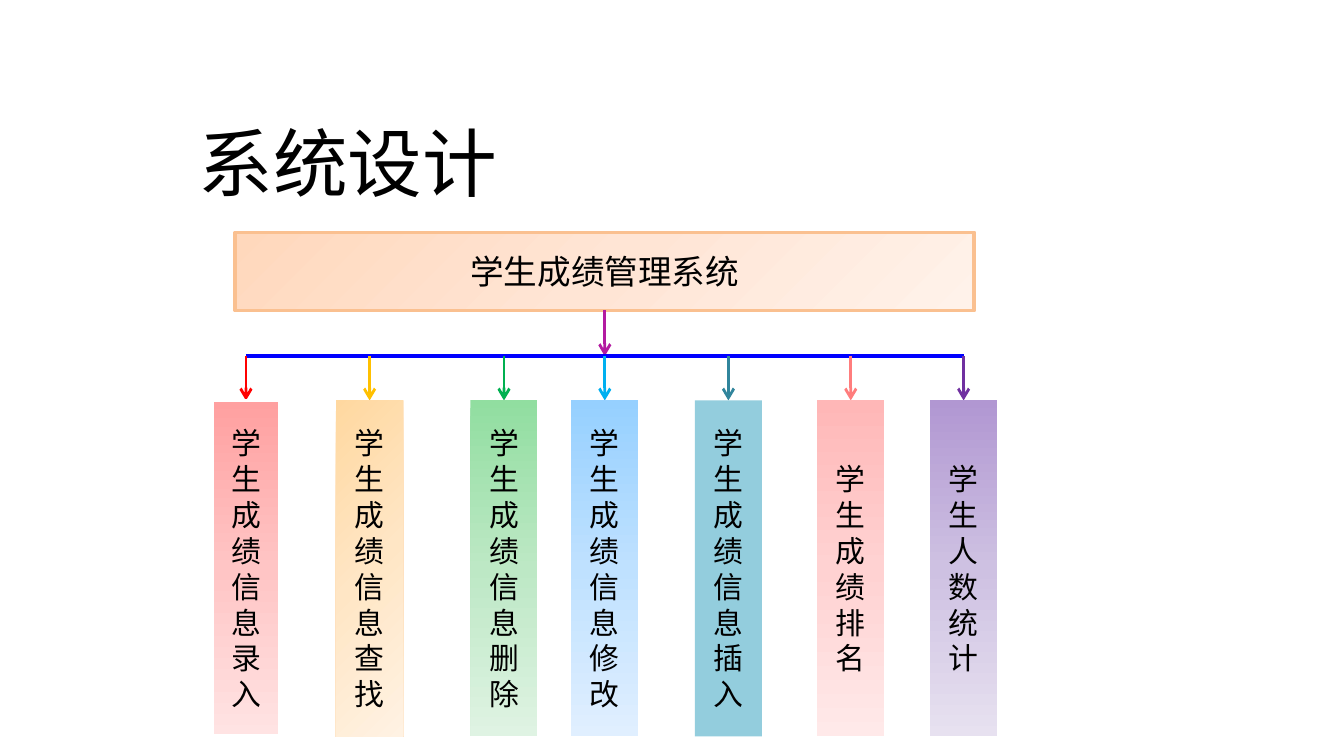
from copy import deepcopy

from lxml import etree
from pptx import Presentation
from pptx import util as u
from pptx.dml.color import RGBColor
from pptx.enum import shapes, text
from pptx.oxml.ns import qn

rgb = RGBColor.from_string


def add_text(sp, content, size, align):
    tf = sp.text_frame
    for name, value in {"word_wrap": True, "vertical_anchor": text.MSO_ANCHOR.MIDDLE}.items():
        setattr(tf, name, value)
    p = tf.paragraphs[0]
    p.alignment = align
    r = p.add_run()
    r.text = content
    for name, value in {"name": "Calibri", "size": u.Pt(size)}.items():
        setattr(r.font, name, value)
    r.font.color.rgb = rgb("000000")


def add_box(box, content, size, colors, angle, border):
    """Rectangle with a solid fill (one colour) or an even gradient, angle clockwise."""
    sp = s.shapes.add_shape(shapes.MSO_SHAPE.RECTANGLE, *map(u.Inches, box))
    sp.shadow.inherit = False
    if len(colors) == 1:
        sp.fill.solid()
        sp.fill.fore_color.rgb = rgb(colors[0])
    else:
        sp.fill.gradient()
        sp.fill.gradient_angle = 360 - angle
        stops = sp._element.spPr.find(".//" + qn("a:gsLst"))
        stops.insert(1, deepcopy(stops[0]))
        for i, (stop, color) in enumerate(zip(sp.fill.gradient_stops, colors)):
            stop.position = i / 2
            stop.color.rgb = rgb(color)
    if border:
        sp.line.color.rgb = rgb(border)
        sp.line.width = u.Pt(2)
    else:
        sp.line.fill.background()
    add_text(sp, content, size, text.PP_ALIGN.CENTER)
    return sp


prs = Presentation()
prs.slide_width = u.Inches(10)
prs.slide_height = u.Inches(10 * 9 / 16)
s = prs.slides.add_slide(prs.slide_layouts[6])

title = s.shapes.add_textbox(*map(u.Inches, (1.38, 0.73, 7.42, 0.94)))
add_text(title, "系统设计", 40, text.PP_ALIGN.LEFT)

system = add_box((1.75, 1.73, 5.5, 0.58), "学生成绩管理系统", 18,
                 ("FFD8BC", "FFE5D5", "FFF2EA"), 45, "FAC090")

# centre x, name, arrow colour, fill colours, gradient angle, border
modules = [
    (1.83, "学生成绩信息录入", "FF0000", ("FFA0A0", "FFC5C5", "FFE3E3"), 90, "FFFFFF"),
    (2.75, "学生成绩信息查找", "FFC000", ("FFD8A0", "FFE6C5", "FFF2E3"), 45, None),
    (3.75, "学生成绩信息删除", "00B050", ("91DEA0", "BDE8C5", "DFF3E3"), 90, None),
    (4.5, "学生成绩信息修改", "00B0F0", ("96D0FF", "BFE1FF", "E0EFFF"), 90, None),
    (5.42, "学生成绩信息插入", "31859C", ("93CDDD",), 0, None),
    (6.33, "学生成绩排名", "FF7D7D", ("FFB7B7", "FFD2D2", "FFE9E9"), 90, None),
    (7.17, "学生人数统计", "7030A0", ("B197D2", "CEC1E2", "E7E1F0"), 90, None),
]
system_bottom, bus_y, module_top = 2.31, 2.65, 2.98
module_w, module_h = 0.5, 2.5

# from x, from y, to x, to y, colour, width, arrowhead
lines = [
    (4.5, system_bottom, 4.5, bus_y, "B31BA1", 1.5, True),
    (modules[0][0], bus_y, modules[-1][0], bus_y, "0000FF", 2.25, False),
]
lines += [(x, bus_y, x, module_top, color, 1.5, True) for x, _, color, *_ in modules]

connectors = []
for *ends, color, width, arrow in lines:
    c = s.shapes.add_connector(shapes.MSO_CONNECTOR.STRAIGHT, *map(u.Inches, ends))
    c.line.color.rgb = rgb(color)
    c.line.width = u.Pt(width)
    if arrow:
        etree.SubElement(c.line._get_or_add_ln(), qn("a:tailEnd"), type="arrow")
    etree.SubElement(c._element.spPr, qn("a:effectLst"))
    connectors.append(c)

trunk, bus, *branches = connectors
trunk.begin_connect(system, 2)
for branch, (x, name, _, colors, angle, border) in zip(branches, modules):
    module = add_box((x - module_w / 2, module_top, module_w, module_h),
                     name, 16, colors, angle, border)
    branch.end_connect(module, 0)

prs.save("out.pptx")
